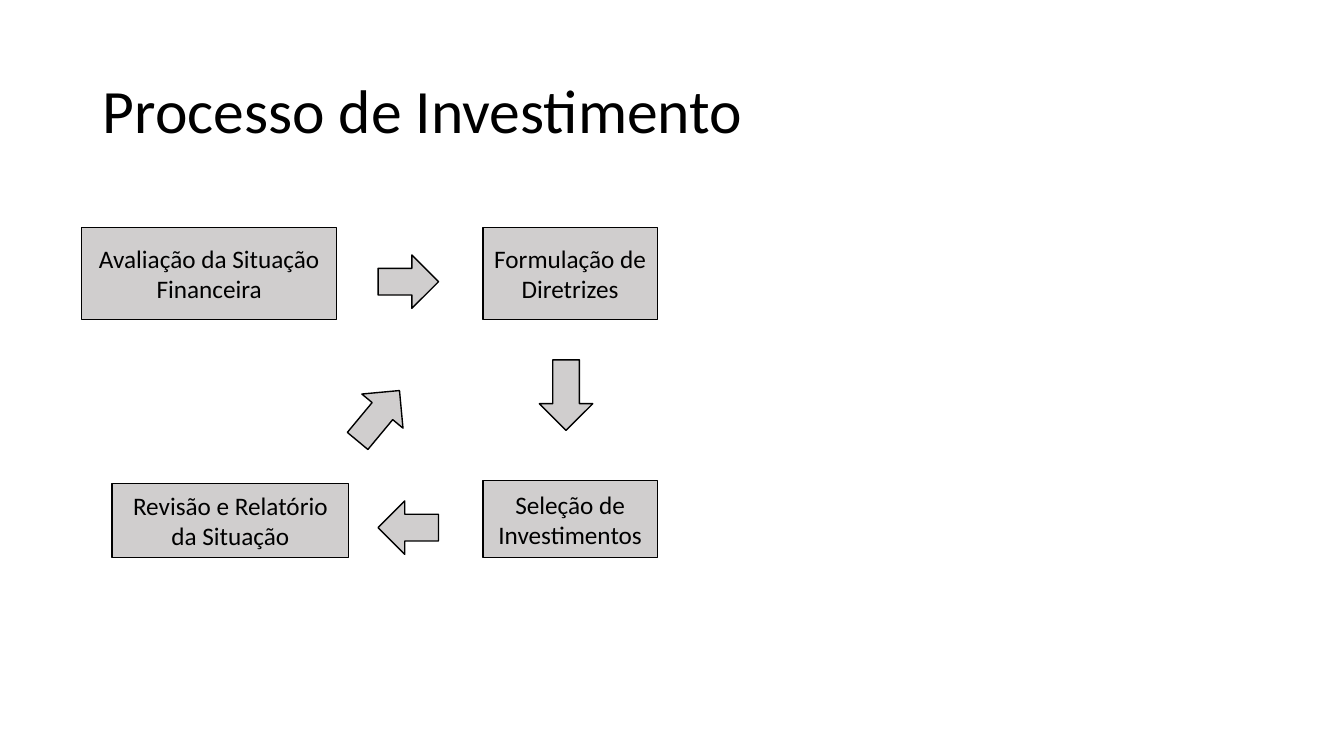
from pptx import Presentation
from pptx.dml.color import RGBColor
from pptx.enum.shapes import MSO_SHAPE
from pptx.enum.text import MSO_ANCHOR, MSO_AUTO_SIZE, PP_ALIGN
from pptx.util import Pt

PX = 9144  # 100 px to the inch
BLACK = RGBColor(0x00, 0x00, 0x00)
GREY = RGBColor(0xD0, 0xCE, 0xCE)
FONT = "Calibri"

STEPS = [
    ("Avaliação da Situação Financeira", 81, 226, 253, 91),
    ("Formulação de Diretrizes", 479, 226, 173, 91),
    ("Seleção de Investimentos", 479, 477, 173, 76),
    ("Revisão e Relatório da Situação", 111, 480, 235, 73),
]
ARROWS = [
    (MSO_SHAPE.RIGHT_ARROW, 375, 253, 60, 53, 0),
    (MSO_SHAPE.DOWN_ARROW, 535, 357, 53, 70, 0),
    (MSO_SHAPE.LEFT_ARROW, 375, 497, 60, 53, 0),
    (MSO_SHAPE.UP_ARROW, 349, 380, 53, 65, 39.7),
]


def scale(*sizes):
    return [size * PX for size in sizes]


def write(frame, text, size, align):
    frame.text = text
    frame.word_wrap = True
    frame.auto_size = MSO_AUTO_SIZE.NONE
    frame.vertical_anchor = MSO_ANCHOR.MIDDLE
    line = frame.paragraphs[0]
    line.alignment = align
    font = line.runs[0].font
    font.name = FONT
    font.size = Pt(size)
    font.color.rgb = BLACK


def add_title(slide, text):
    title = slide.shapes.title
    title.left, title.top, title.width, title.height = scale(92, 40, 1150, 145)
    write(title.text_frame, text, 44, PP_ALIGN.LEFT)
    title.text_frame.paragraphs[0].line_spacing = 0.9


def add_block(slide, kind, *box):
    """Add a grey preset shape with a thin black outline."""
    block = slide.shapes.add_shape(kind, *scale(*box))
    block.shadow.inherit = False
    block.fill.solid()
    block.fill.fore_color.rgb = GREY
    block.line.color.rgb = BLACK
    block.line.width = Pt(1)
    return block


def add_step(slide, text, *box):
    step = add_block(slide, MSO_SHAPE.RECTANGLE, *box)
    write(step.text_frame, text, 18, PP_ALIGN.CENTER)


def add_arrow(slide, kind, *box, turn):
    arrow = add_block(slide, kind, *box)
    arrow.rotation = turn


def main():
    deck = Presentation()
    deck.slide_width, deck.slide_height = scale(1333, 750)
    slide = deck.slides.add_slide(deck.slide_layouts[5])
    add_title(slide, "Processo de Investimento")
    for step in STEPS:
        add_step(slide, *step)
    for *arrow, turn in ARROWS:
        add_arrow(slide, *arrow, turn=turn)
    deck.save("out.pptx")


if __name__ == "__main__":
    main()
